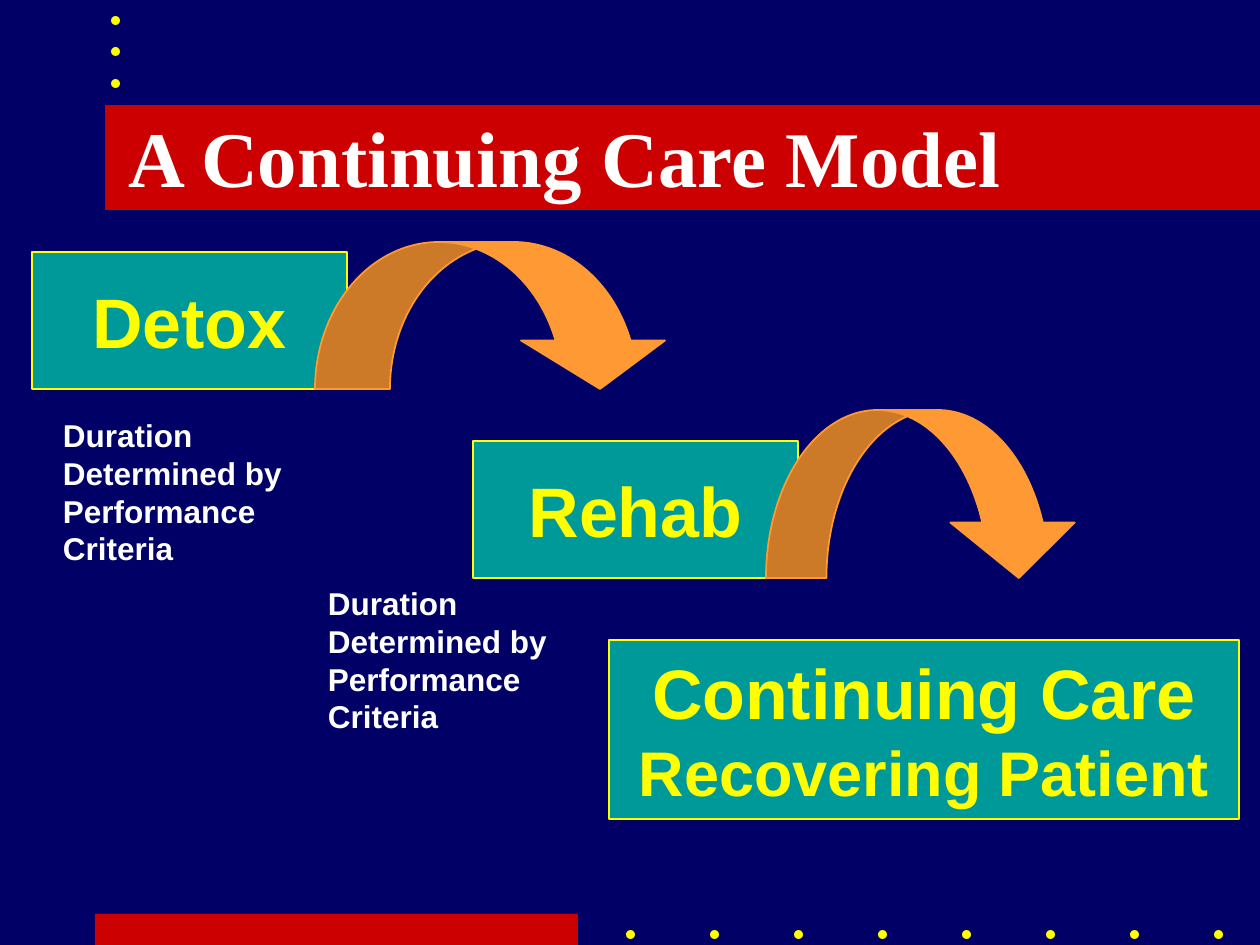
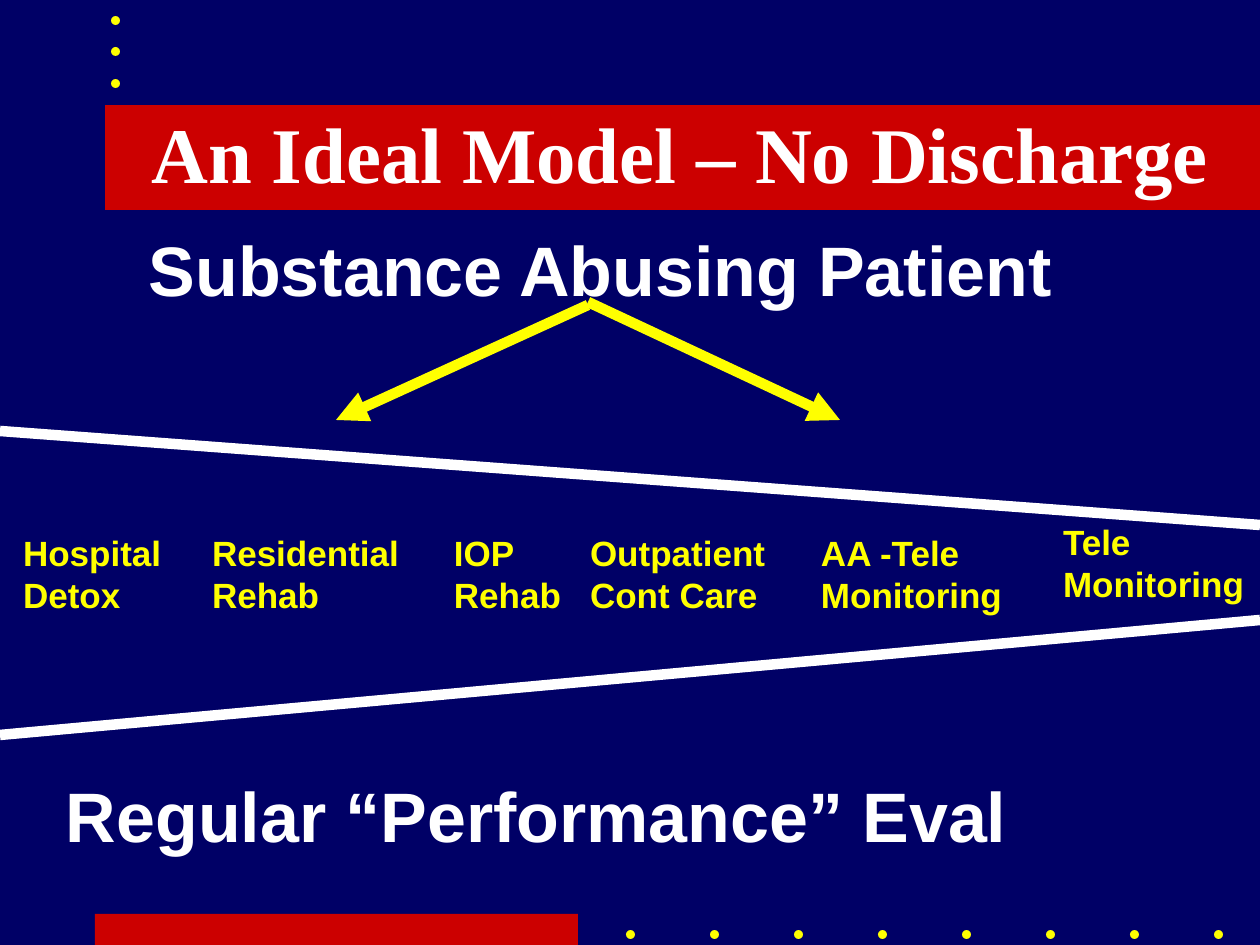
from pptx import Presentation
from pptx.dml.color import RGBColor
from pptx.enum.shapes import MSO_CONNECTOR, MSO_SHAPE as Preset
from pptx.enum.text import MSO_ANCHOR as Anchor, PP_ALIGN as Align
from pptx.oxml.ns import qn
from pptx.util import Pt
from lxml.etree import SubElement

PX = 914400 / 126
NAVY = RGBColor(0x00, 0x00, 0x66)
RED = RGBColor(0xCC, 0x00, 0x00)
TEAL = RGBColor(0x00, 0x99, 0x99)
ORANGE = RGBColor(0xFF, 0x99, 0x33)
YELLOW = RGBColor(0xFF, 0xFF, 0x00)
WHITE = RGBColor(0xFF, 0xFF, 0xFF)


def add_block(page, preset, at, fill, line=None):
    block = page.shapes.add_shape(preset, *(round(n * PX) for n in at))
    block.shadow.inherit = False
    block.fill.solid()
    block.fill.fore_color.rgb = fill
    if line is None:
        block.line.fill.background()
    else:
        block.line.color.rgb = line
        block.line.width = Pt(1)
    return block


def add_text(page, at, lines, color, font="Arial", align=Align.LEFT,
             anchor=Anchor.TOP, box=None, right_inset=13):
    """Write (text, size) lines into box, or into a new text box at the place given."""
    box = box or page.shapes.add_textbox(*(round(n * PX) for n in at))
    frame = box.text_frame
    frame.word_wrap = True
    frame.vertical_anchor = anchor
    frame.margin_left = round(13 * PX)
    frame.margin_right = round(right_inset * PX)
    frame.margin_top = frame.margin_bottom = round(6 * PX)
    for index, (text, size) in enumerate(lines):
        para = frame.add_paragraph() if index else frame.paragraphs[0]
        para.alignment = align
        para.line_spacing = Pt(size * 1.2)
        span = para.add_run()
        span.text = text
        span.font.name = font
        span.font.size = Pt(size)
        span.font.bold = True
        span.font.color.rgb = color


deck = Presentation()
deck.slide_width = round(1260 * PX)
deck.slide_height = round(945 * PX)

# Background, bands, dots and title of both slides
TITLES = [
    ("A Continuing Care Model", (116, 77, 1071, 158), Align.LEFT, 13),
    ("An Ideal Model – No Discharge", (21, 73, 1239, 158), Align.RIGHT, 52),
]
BANDS = [(95, 914, 483, 31), (105, 105, 1155, 105)]
DOTS = [(626 + 84 * i, 930) for i in range(8)] + [(111, 16 + 63 * i // 2) for i in range(3)]
pages = []
for title, at, align, right_inset in TITLES:
    page = deck.slides.add_slide(deck.slide_layouts[6])
    page.background.fill.solid()
    page.background.fill.fore_color.rgb = NAVY
    for band in BANDS:
        add_block(page, Preset.RECTANGLE, band, RED)
    for left, top in DOTS:
        add_block(page, Preset.OVAL, (left, top, 9, 9), YELLOW)
    add_text(page, at, [(title, 45)], WHITE, "Times New Roman", align,
             Anchor.MIDDLE, right_inset=right_inset)
    pages.append(page)
care_page, ideal_page = pages

# Care model: three stages, the arrows between them and their criteria
STAGES = [
    ((32, 252, 315, 137), [("Detox", 40)]),
    ((473, 441, 325, 137), [("Rehab", 40)]),
    ((609, 640, 630, 179), [("Continuing Care", 40), ("Recovering Patient", 36)]),
]
for at, lines in STAGES:
    stage = add_block(care_page, Preset.RECTANGLE, at, TEAL, YELLOW)
    add_text(care_page, at, lines, YELLOW, align=Align.CENTER,
             anchor=Anchor.MIDDLE, box=stage)

CURVED_ARROWS = [
    ((315, 242, 357, 147), (0.51, 0.98, 0.33)),
    ((766, 410, 315, 168), (0.36, 0.74, 0.33)),
]
for at, proportions in CURVED_ARROWS:
    arrow = add_block(care_page, Preset.CURVED_DOWN_ARROW, at, ORANGE, ORANGE)
    for index, proportion in enumerate(proportions):
        arrow.adjustments[index] = proportion

CRITERIA = ["Duration", "Determined by", "Performance", "Criteria"]
for left, top in [(50, 410), (315, 578)]:
    add_text(care_page, (left, top, 250, 164), [(text, 18) for text in CRITERIA], WHITE)

# Ideal model: headings, narrowing funnel and its levels of care
add_text(ideal_page, (136, 221, 931, 97), [("Substance Abusing Patient", 40)], WHITE)
add_text(ideal_page, (53, 766, 985, 97), [("Regular “Performance” Eval", 40)], WHITE)

LINES = [
    ((588, 305, 336, 420), YELLOW, True),
    ((588, 302, 840, 420), YELLOW, True),
    ((0, 431, 1260, 525), WHITE, False),
    ((0, 735, 1260, 620), WHITE, False),
]
for ends, color, has_head in LINES:
    line = ideal_page.shapes.add_connector(
        MSO_CONNECTOR.STRAIGHT, *(round(n * PX) for n in ends))
    line.line.color.rgb = color
    line.line.width = Pt(6)
    if has_head:
        SubElement(line.line._get_or_add_ln(), qn("a:tailEnd"), type="triangle")
    SubElement(line._element.spPr, qn("a:effectLst"))

LEVELS = [
    (10, 525, 170, "Hospital", "Detox"),
    (199, 525, 218, "Residential", "Rehab"),
    (441, 525, 138, "IOP", "Rehab"),
    (577, 525, 206, "Outpatient", "Cont Care"),
    (808, 525, 210, "AA -Tele", "Monitoring"),
    (1050, 514, 210, "Tele", "Monitoring"),
]
for left, top, width, *words in LEVELS:
    add_text(ideal_page, (left, top, width, 97), [(text, 20) for text in words], YELLOW)

deck.save("out.pptx")
